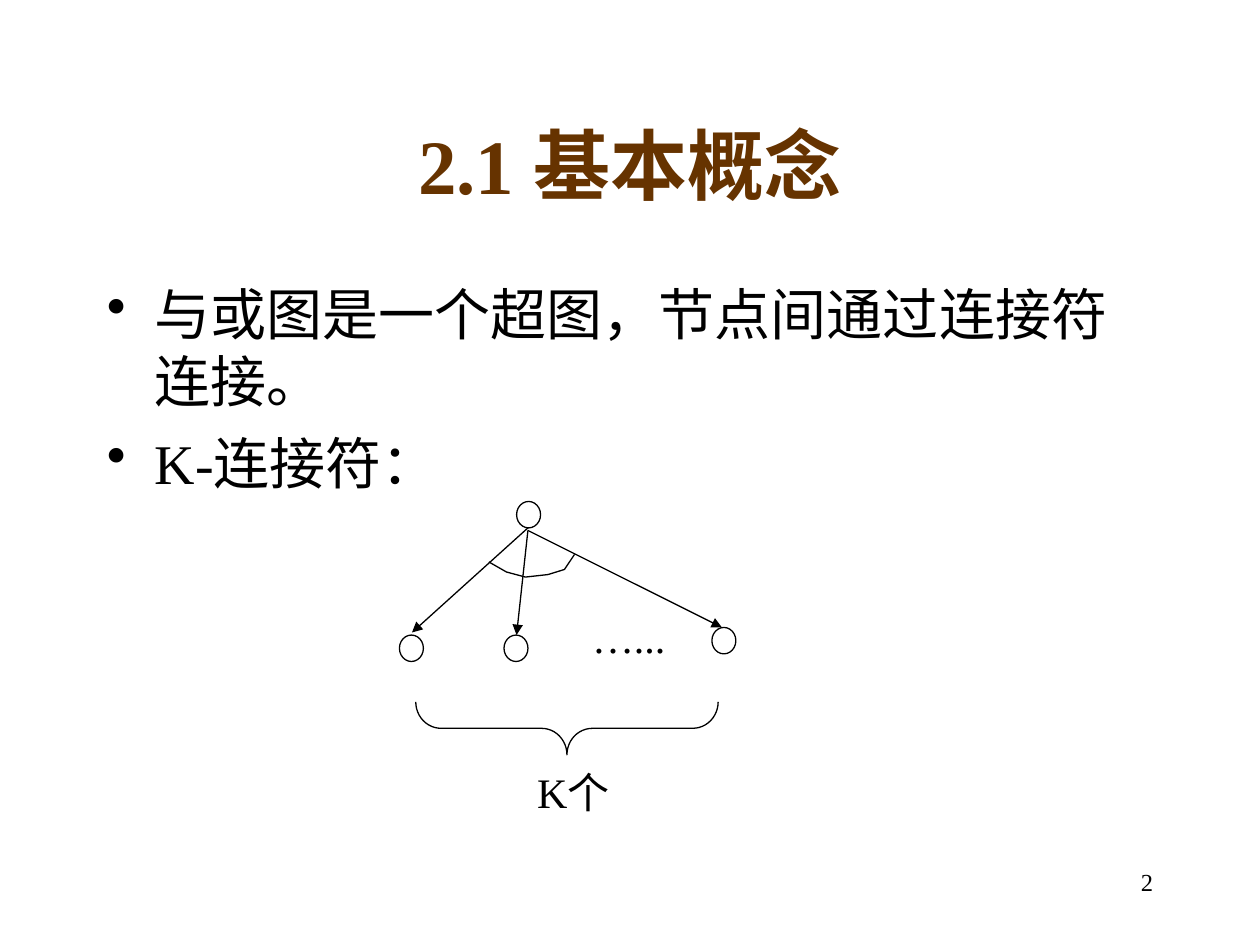
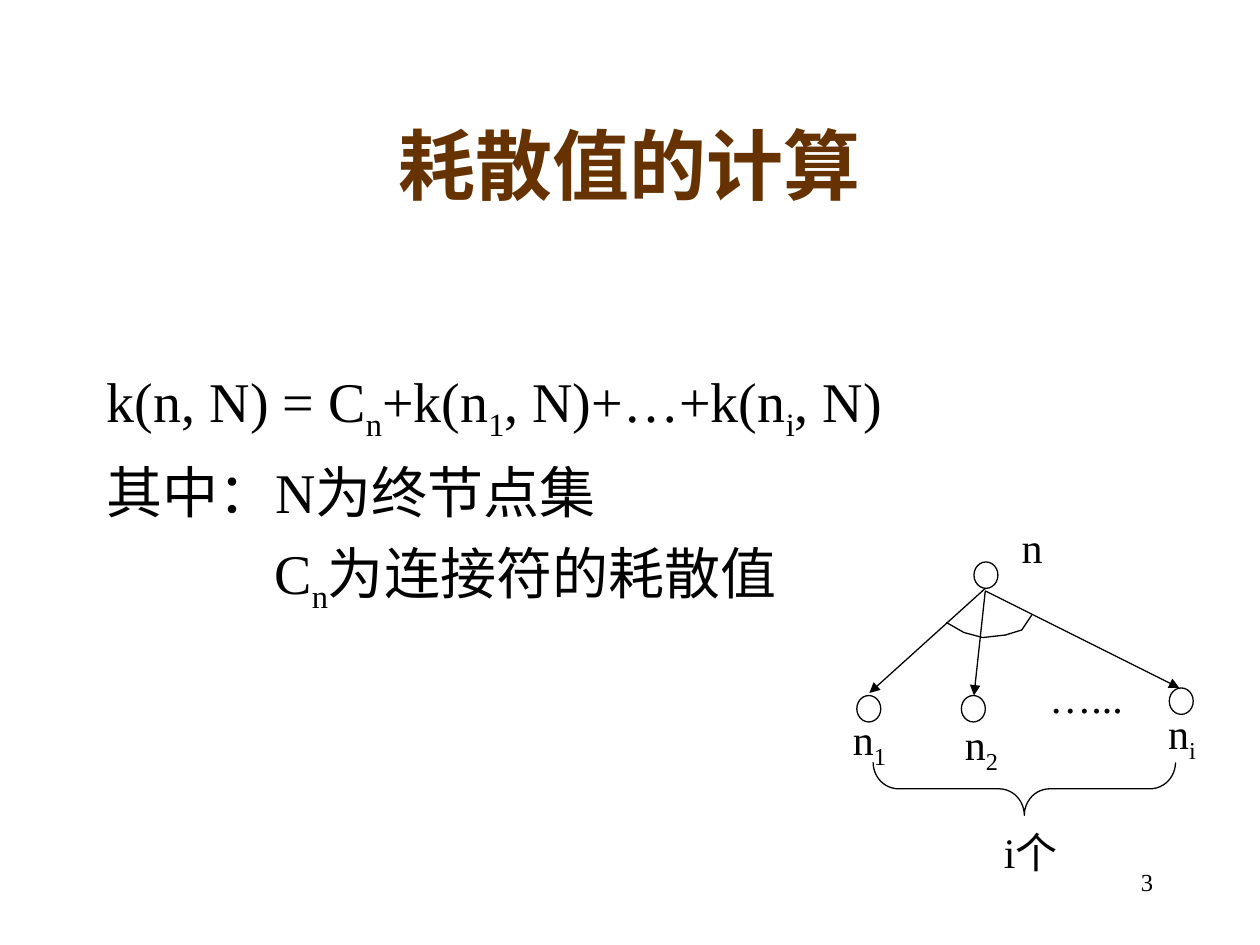
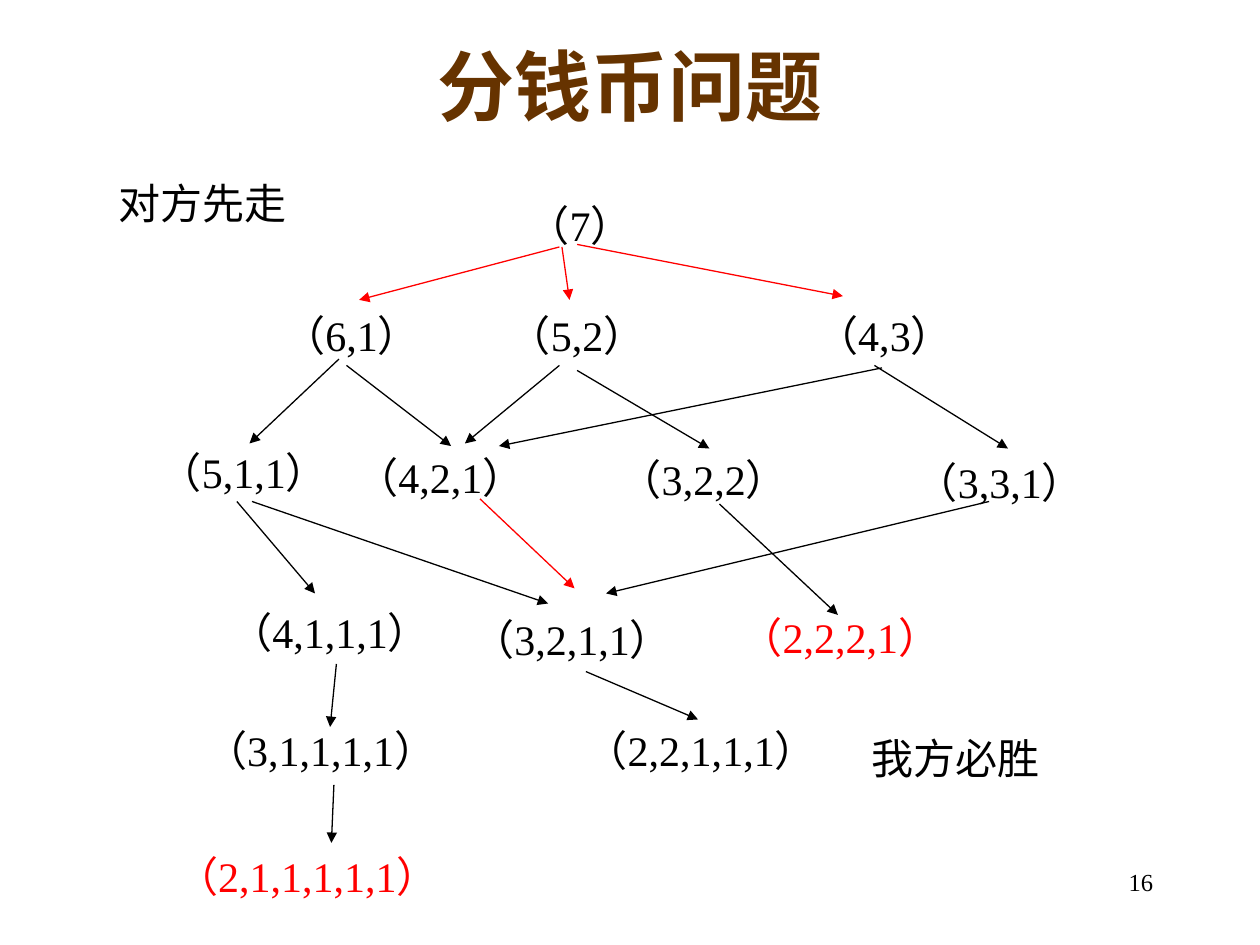
from lxml import etree
from pptx import Presentation
from pptx.dml.color import RGBColor
from pptx.enum.shapes import MSO_CONNECTOR, MSO_SHAPE
from pptx.enum.text import MSO_ANCHOR, MSO_AUTO_SIZE, PP_ALIGN
from pptx.oxml.ns import qn
from pptx.util import Inches, Pt

COLORS = {"title": "663300", "ink": "000000", "key": "FF0000"}
FONT = "Times New Roman"
LINE_WIDTH = Pt(0.75)
NODE_WIDTH, NODE_HEIGHT = 0.19, 0.21

COIN_STATES = [
    ("7", 4.01, 1.53, "ink"),
    ("6,1", 2.07, 2.41, "ink"),
    ("5,2", 3.86, 2.41, "ink"),
    ("4,3", 6.3, 2.41, "ink"),
    ("5,1,1", 1.09, 3.49, "ink"),
    ("4,2,1", 2.65, 3.53, "ink"),
    ("3,2,2", 4.74, 3.55, "ink"),
    ("3,3,1", 7.09, 3.57, "ink"),
    ("4,1,1,1", 1.65, 4.76, "ink"),
    ("3,2,1,1", 3.57, 4.82, "ink"),
    ("2,2,2,1", 5.7, 4.8, "key"),
    ("3,1,1,1,1", 1.45, 5.7, "ink"),
    ("2,2,1,1,1", 4.47, 5.7, "ink"),
    ("2,1,1,1,1,1", 1.22, 6.7, "key"),
]

COIN_MOVES = [
    ((4.44, 1.96), (2.85, 2.38), "key"),
    ((4.46, 1.96), (4.52, 2.38), "key"),
    ((4.58, 1.94), (6.69, 2.35), "key"),
    ((2.69, 2.85), (1.98, 3.52), "ink"),
    ((2.75, 2.9), (3.58, 3.54), "ink"),
    ((4.44, 2.9), (3.69, 3.52), "ink"),
    ((4.58, 2.94), (5.63, 3.56), "ink"),
    ((6.94, 2.9), (8, 3.56), "ink"),
    ((7, 2.92), (3.96, 3.54), "ink"),
    ((1.88, 3.98), (2.5, 4.71), "ink"),
    ((2, 3.98), (4.35, 4.79), "ink"),
    ((3.81, 3.96), (4.56, 4.67), "key"),
    ((5.71, 4), (6.65, 4.88), "ink"),
    ((7.85, 3.98), (4.81, 4.71), "ink"),
    ((4.65, 5.33), (5.54, 5.71), "ink"),
    ((2.67, 5.27), (2.62, 5.77), "ink"),
    ((2.65, 6.23), (2.63, 6.69), "ink"),
]


def rgb(color):
    return RGBColor.from_string(COLORS[color])


def add_runs(paragraph, pieces, size, color="ink", bold=False):
    for text, subscript in pieces:
        run = paragraph.add_run()
        run.text = text
        run.font.name = FONT
        run.font.size = Pt(size)
        run.font.bold = bold
        run.font.color.rgb = rgb(color)
        if subscript:
            run._r.get_or_add_rPr().set("baseline", "-25000")


def add_frame(slide, left, top, width, height, anchor=MSO_ANCHOR.TOP, wrap=True):
    box = slide.shapes.add_textbox(Inches(left), Inches(top), Inches(width), Inches(height))
    frame = box.text_frame
    frame.word_wrap = wrap
    frame.vertical_anchor = anchor
    return frame


def add_title(slide, text, top=0.67, height=1.25):
    paragraph = add_frame(slide, 0.75, top, 8.5, height, MSO_ANCHOR.MIDDLE).paragraphs[0]
    paragraph.alignment = PP_ALIGN.CENTER
    add_runs(paragraph, [(text, False)], 44, "title", True)


def add_page_number(slide, number):
    paragraph = add_frame(slide, 7.17, 6.83, 2.08, 0.5).paragraphs[0]
    paragraph.alignment = PP_ALIGN.RIGHT
    add_runs(paragraph, [(str(number), False)], 14)


def add_body(slide, top, height, lines):
    frame = add_frame(slide, 0.75, top, 8.5, height)
    for index, (pieces, margin, indent, bullet) in enumerate(lines):
        paragraph = frame.add_paragraph() if index else frame.paragraphs[0]
        if index:
            paragraph.space_before = Pt(8)
        properties = paragraph._p.get_or_add_pPr()
        properties.set("marL", str(Inches(margin)))
        properties.set("indent", str(Inches(indent)))
        if bullet:
            etree.SubElement(properties, qn("a:buChar")).set("char", "•")
        add_runs(paragraph, pieces, 32)


def add_label(slide, left, top, width, text, subscript="", color="ink"):
    height = 0.56 if subscript else 0.5
    frame = add_frame(slide, left, top, width, height, MSO_ANCHOR.MIDDLE, False)
    frame.auto_size = MSO_AUTO_SIZE.SHAPE_TO_FIT_TEXT
    paragraph = frame.paragraphs[0]
    paragraph.alignment = PP_ALIGN.CENTER
    pieces = [(text, False)]
    if subscript:
        pieces.append((subscript, True))
    add_runs(paragraph, pieces, 24, color)


def style_outline(shape):
    shape.shadow.inherit = False
    shape.fill.background()
    shape.line.color.rgb = rgb("ink")
    shape.line.width = LINE_WIDTH


def add_outline(slide, kind, left, top, width, height):
    outline = slide.shapes.add_shape(
        kind, Inches(left), Inches(top), Inches(width), Inches(height))
    style_outline(outline)
    return outline


def add_arrow(slide, start, end, color="ink"):
    arrow = slide.shapes.add_connector(
        MSO_CONNECTOR.STRAIGHT, *(Inches(value) for value in (*start, *end)))
    arrow.line.color.rgb = rgb(color)
    arrow.line.width = LINE_WIDTH
    etree.SubElement(arrow.line._get_or_add_ln(), qn("a:tailEnd")).set("type", "triangle")
    etree.SubElement(arrow._element.spPr, qn("a:effectLst"))


def add_arc(slide, points):
    corners = [(Inches(x), Inches(y)) for x, y in points]
    builder = slide.shapes.build_freeform(*corners[0])
    builder.add_line_segments(corners[1:], close=False)
    style_outline(builder.convert_to_shape())


def add_k_connector(slide, left, top, count_text, count_width):
    for dx, dy in [(0.93, 0), (0, 1.06), (0.83, 1.06), (2.48, 1)]:
        add_outline(slide, MSO_SHAPE.OVAL, left + dx, top + dy, NODE_WIDTH, NODE_HEIGHT)
    add_label(slide, left + 1.43, top + 0.82, 0.78, "…...")

    for start_dy, end_dx, end_dy in [(0.21, 0.1, 1.04), (0.23, 0.93, 1.06), (0.23, 2.56, 1)]:
        add_arrow(slide, (left + 1.02, top + start_dy), (left + end_dx, top + end_dy))

    arc = [(0.71, 0.48), (0.85, 0.56), (1, 0.6), (1.18, 0.58), (1.31, 0.54), (1.39, 0.42)]
    add_arc(slide, [(left + dx, top + dy) for dx, dy in arc])

    brace = add_outline(slide, MSO_SHAPE.LEFT_BRACE, left + 1.12, top + 0.6, 0.42, 2.4)
    brace.rotation = 270
    brace.adjustments[0] = 0.48
    add_label(slide, left + 1.38 - count_width / 2, top + 2.05, count_width, count_text)


def build_concepts(slide):
    add_title(slide, "2.1 基本概念")
    add_body(slide, 2.17, 1.81, [
        ([("与或图是一个超图，节点间通过连接符连接。", False)], 0.38, -0.38, True),
        ([("K-连接符：", False)], 0.38, -0.38, True),
    ])
    add_k_connector(slide, 3.17, 3.98, "K个", 0.85)
    add_page_number(slide, 2)


def build_cost(slide):
    add_title(slide, "耗散值的计算")
    formula = [("k(n, N) = C", False), ("n", True), ("+k(n", False), ("1", True),
               (", N)+…+k(n", False), ("i", True), (", N)", False)]
    add_body(slide, 2.86, 3.81, [
        (formula, 0.38, -0.38, False),
        ([("其中：N为终节点集", False)], 0.38, -0.38, False),
        ([("C", False), ("n", True), ("为连接符的耗散值", False)], 1.33, 0, False),
    ])
    add_k_connector(slide, 6.8, 4.46, "i个", 0.7)
    add_label(slide, 8.01, 4.09, 0.36, "n")
    for subscript, left, top, width in [
            ("1", 6.67, 5.61, 0.46), ("2", 7.56, 5.65, 0.46), ("i", 9.17, 5.56, 0.42)]:
        add_label(slide, left, top, width, "n", subscript)
    add_page_number(slide, 3)


def build_coins(slide):
    add_title(slide, "分钱币问题", 0.27, 0.81)
    for coins, left, top, color in COIN_STATES:
        width = 0.94 + 0.25 * len(coins.split(","))
        add_label(slide, left, top, width, f"（{coins}）", color=color)
    for start, end, color in COIN_MOVES:
        add_arrow(slide, start, end, color)
    add_label(slide, 0.84, 1.36, 1.53, "对方先走")
    add_label(slide, 6.82, 5.76, 1.53, "我方必胜")
    add_page_number(slide, 16)


def main():
    presentation = Presentation()
    presentation.slide_width = Inches(10)
    presentation.slide_height = Inches(7.5)
    blank = presentation.slide_layouts[6]
    for build in (build_concepts, build_cost, build_coins):
        build(presentation.slides.add_slide(blank))
    presentation.save("out.pptx")


if __name__ == "__main__":
    main()
